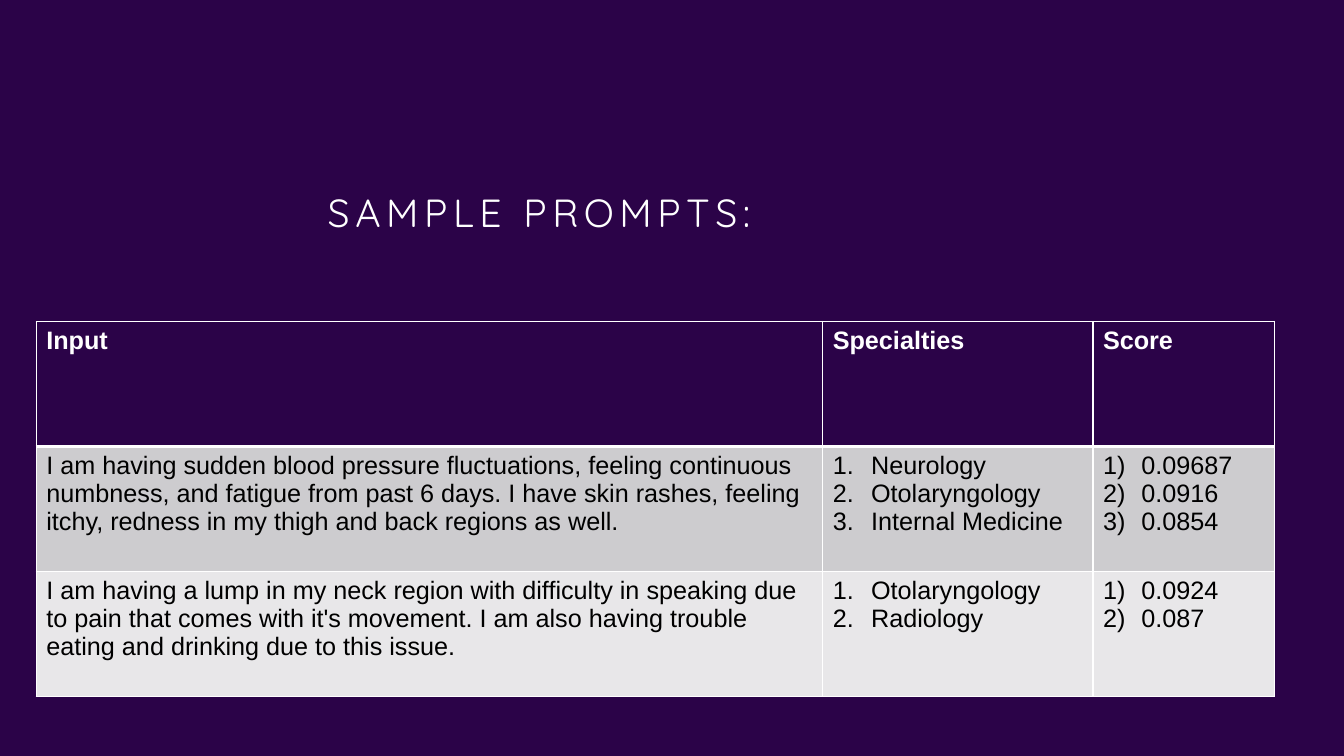
from lxml import etree
from pptx import Presentation
from pptx.dml.color import RGBColor
from pptx.enum.text import MSO_ANCHOR, MSO_AUTO_SIZE, PP_ALIGN
from pptx.oxml.ns import qn
from pptx.util import Inches, Pt

TOP, LEFT, NO_FIT = MSO_ANCHOR.TOP, PP_ALIGN.LEFT, MSO_AUTO_SIZE.NONE

THEME = {
    "purple": RGBColor.from_string("2B0348"),
    "white": RGBColor.from_string("FFFFFF"),
    "black": RGBColor.from_string("000000"),
    "bands": [RGBColor.from_string("CDCCCF"), RGBColor.from_string("E8E7E9")],
    "title_font": "Quicksand",
    "table_font": "Arial",
    "title_size": Pt(28),
    "table_size": Pt(18),
}

COLUMN_WIDTHS = [7.8, 2.68, 1.8]
ROW_HEIGHT = 1.24
NUMBERING = [None, "arabicPeriod", "arabicParenR"]
HEADINGS = [["Input"], ["Specialties"], ["Score"]]
PROMPTS = [
    [
        ["I am having sudden blood pressure fluctuations, feeling continuous numbness, "
         "and fatigue from past 6 days. I have skin rashes, feeling itchy, redness in "
         "my thigh and back regions as well."],
        ["Neurology", "Otolaryngology", "Internal Medicine"],
        ["0.09687", "0.0916", "0.0854"],
    ],
    [
        ["I am having a lump in my neck region with difficulty in speaking due to pain "
         "that comes with it's movement. I am also having trouble eating and drinking "
         "due to this issue."],
        ["Otolaryngology", "Radiology"],
        ["0.0924", "0.087"],
    ],
]


def set_borders(cell, bottom, top):
    """Draw white cell borders; bottom and top are widths in points."""
    properties = cell._tc.get_or_add_tcPr()
    for side, width in {"lnL": 1, "lnR": 1, "lnT": top, "lnB": bottom}.items():
        line = etree.SubElement(properties, qn(f"a:{side}"), w=str(Pt(width)))
        fill = etree.SubElement(line, qn("a:solidFill"))
        etree.SubElement(fill, qn("a:srgbClr"), val=str(THEME["white"]))


def style_run(run, **formats):
    for name, value in formats.items():
        if name == "color":
            run.font.color.rgb = value
        else:
            setattr(run.font, name, value)


prs = Presentation()
prs.slide_width, prs.slide_height = Inches(13.33), Inches(7.5)
slide = prs.slides.add_slide(prs.slide_layouts[5])
slide.background.fill.solid()
slide.background.fill.fore_color.rgb = THEME["purple"]

# Title
title = slide.shapes.title
title.left, title.top = Inches(3.15), Inches(1.87)
title.width, title.height = Inches(5), Inches(0.63)
title.text_frame.auto_size = NO_FIT
title.text_frame.vertical_anchor = TOP
heading = title.text_frame.paragraphs[0]
heading.alignment = LEFT
heading.line_spacing = 0.9
heading_run = heading.add_run()
heading_run.text = "SAMPLE PROMPTS:"
style_run(heading_run, name=THEME["title_font"], size=THEME["title_size"],
          color=THEME["white"])
heading_run.font._element.set("spc", "400")

# Table of prompts
rows = [HEADINGS] + PROMPTS
prompt_table = slide.shapes.add_table(
    len(rows), len(COLUMN_WIDTHS), Inches(0.36), Inches(3.19),
    Inches(sum(COLUMN_WIDTHS)), Inches(ROW_HEIGHT * len(rows))).table
for column, width in zip(prompt_table.columns, COLUMN_WIDTHS):
    column.width = Inches(width)

for r, row in enumerate(rows):
    is_header = r == 0
    prompt_table.rows[r].height = Inches(ROW_HEIGHT)
    for c, entries in enumerate(row):
        cell = prompt_table.cell(r, c)
        set_borders(cell, bottom=3 if is_header else 1, top=3 if r == 1 else 1)
        cell.fill.solid()
        cell.fill.fore_color.rgb = THEME["purple"] if is_header else THEME["bands"][r - 1]
        for i, entry in enumerate(entries):
            frame = cell.text_frame
            paragraph = frame.add_paragraph() if i else frame.paragraphs[0]
            if NUMBERING[c] and not is_header:
                layout = paragraph._p.get_or_add_pPr()
                layout.set("marL", str(Inches(0.38)))
                layout.set("indent", str(Inches(-0.38)))
                etree.SubElement(layout, qn("a:buFont"), typeface="+mj-lt")
                etree.SubElement(layout, qn("a:buAutoNum"), type=NUMBERING[c])
            run = paragraph.add_run()
            run.text = entry
            style_run(run, name=THEME["table_font"], size=THEME["table_size"],
                      bold=is_header,
                      color=THEME["white"] if is_header else THEME["black"])

prs.save("out.pptx")
